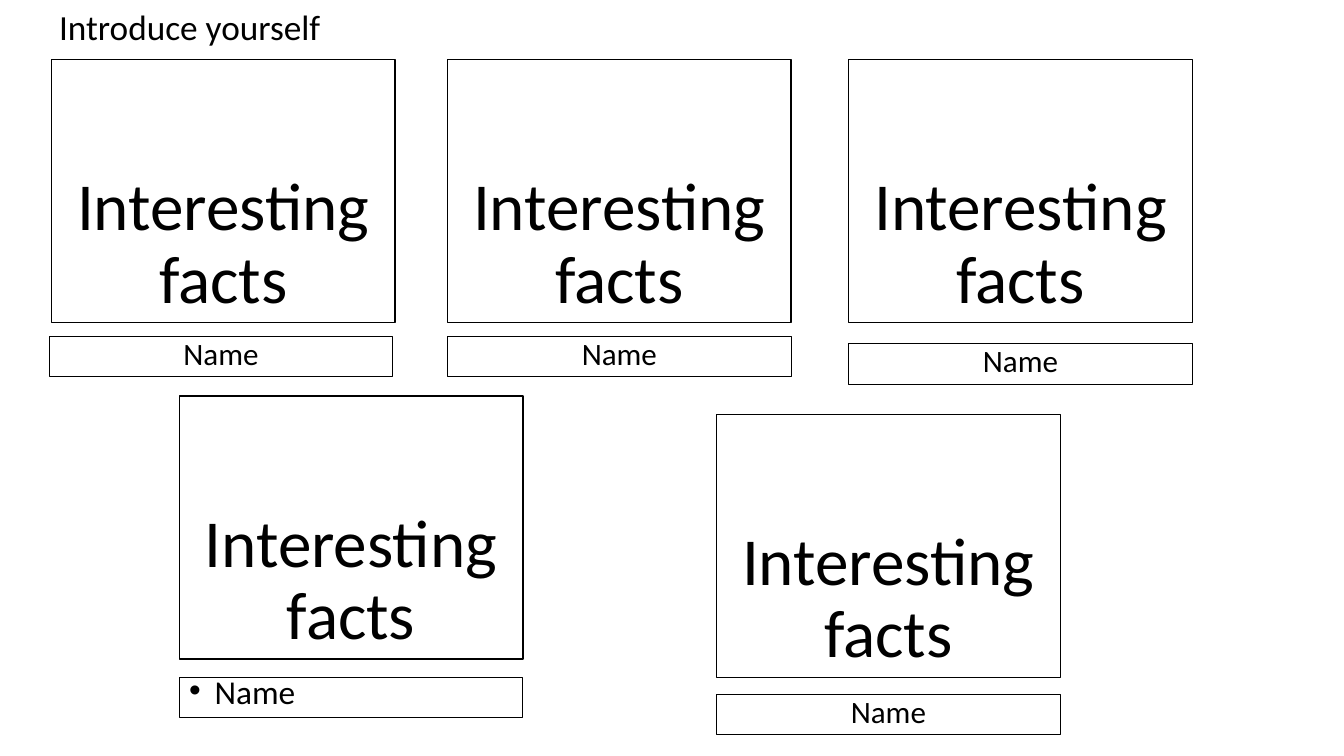
from lxml.etree import SubElement
from pptx import Presentation
from pptx.dml.color import RGBColor as RGB
from pptx.enum.shapes import MSO_SHAPE as Shape
from pptx.enum.text import MSO_ANCHOR as Anchor, PP_ALIGN as Align
from pptx.oxml.ns import qn
from pptx.util import Cm, Pt

INK = "000000"
WIDE = 8.66
CARDS = [
    (1.3, 1.5, 1.24, 8.48, False),
    (11.28, 1.5, 11.28, 8.48, False),
    (21.39, 1.5, 21.39, 8.66, False),
    (4.52, 9.98, 4.52, 17.07, True),
    (18.06, 10.44, 18.06, 17.5, False),
]


def paint(fmt, tone):
    """Set a colour format from a hex string."""
    fmt.rgb = RGB.from_string(tone)


def write(shape, text, size, space, align, anchor):
    """Put one styled paragraph in a shape and return it."""
    frame = shape.text_frame
    frame.word_wrap = True
    frame.vertical_anchor = anchor
    para = frame.paragraphs[0]
    para.text = text
    para.alignment = align
    para.line_spacing = space
    para.font.name = "Calibri"
    para.font.size = Pt(size)
    paint(para.font.color, INK)
    return para


def add_box(slide, left, top, high, line):
    """Add an unfilled rectangle with a black outline."""
    box = slide.shapes.add_shape(
        Shape.RECTANGLE, Cm(left), Cm(top), Cm(WIDE), Cm(high))
    box.shadow.inherit = False
    box.fill.background()
    paint(box.line.color, INK)
    box.line.width = Pt(line)
    return box


def add_dot(para):
    """Give a paragraph a round bullet and a hanging indent."""
    props = para._p.get_or_add_pPr()
    props.set("marL", str(Cm(0.64)))
    props.set("indent", str(-Cm(0.64)))
    font = props.find(qn("a:defRPr"))
    face = SubElement(props, qn("a:buFont"), typeface="Arial")
    dot = SubElement(props, qn("a:buChar"), char="•")
    font.addprevious(face)
    font.addprevious(dot)


def add_title(slide, text):
    """Add the heading line."""
    box = slide.shapes.add_textbox(Cm(1.24), Cm(0.18), Cm(29.21), Cm(1.12))
    write(box, text, 25.2, 0.9, Align.LEFT, Anchor.MIDDLE)


def add_fact(slide, left, top):
    """Add a large box for facts."""
    box = add_box(slide, left, top, 6.63, 1)
    write(box, "Interesting facts", 48, 0.9, Align.CENTER, Anchor.BOTTOM)


def add_name(slide, left, top, dotted):
    """Add a name strip, bulleted or centred."""
    box = add_box(slide, left, top, 1.02, 0.75)
    if dotted:
        add_dot(write(box, "Name", 23.8, 0.7, Align.LEFT, Anchor.TOP))
    else:
        write(box, "Name", 22.2, 0.8, Align.CENTER, Anchor.TOP)


def main():
    """Build and save the slide."""
    deck = Presentation()
    deck.slide_width, deck.slide_height = Cm(33.87), Cm(19.05)
    slide = deck.slides.add_slide(deck.slide_layouts[6])
    add_title(slide, "Introduce yourself")
    for left, top, name_left, name_top, dotted in CARDS:
        add_fact(slide, left, top)
        add_name(slide, name_left, name_top, dotted)
    deck.save("out.pptx")


if __name__ == "__main__":
    main()
